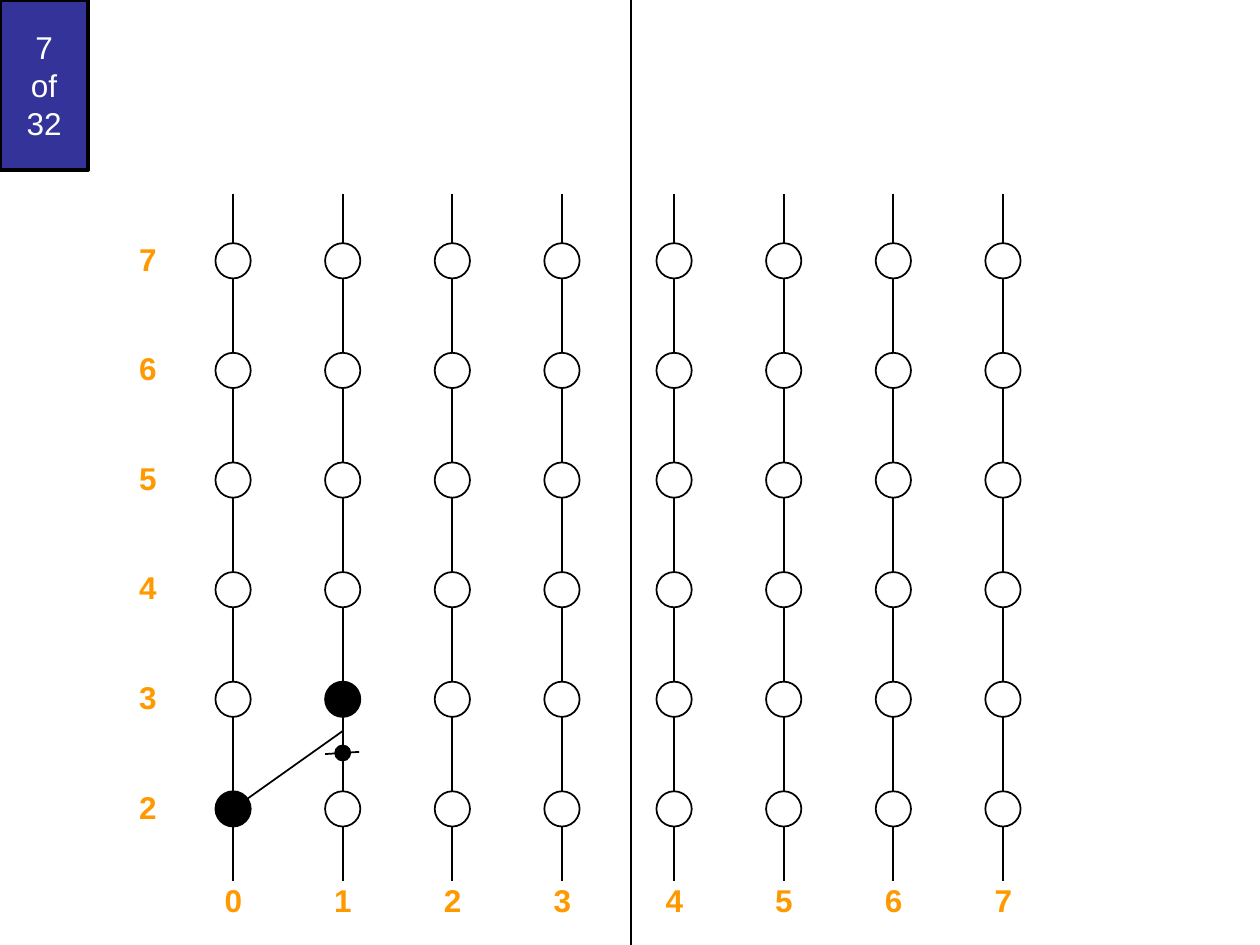
import pptx
import pptx.util
import pptx.dml.color
import pptx.enum.shapes
import pptx.enum.text
import pptx.oxml.ns
import lxml.etree

Inches = pptx.util.Inches
Pt = pptx.util.Pt
RGBColor = pptx.dml.color.RGBColor
SHAPE = pptx.enum.shapes.MSO_SHAPE
ALIGN = pptx.enum.text.PP_ALIGN
ANCHOR = pptx.enum.text.MSO_ANCHOR

BLACK = RGBColor(0x00, 0x00, 0x00)
WHITE = RGBColor(0xFF, 0xFF, 0xFF)
NAVY = RGBColor(0x33, 0x33, 0x99)
ORANGE = RGBColor(0xFF, 0x99, 0x00)

WIDTH, HEIGHT = 10, 7.5
COLUMNS, ROWS = range(8), range(2, 8)
SELECTED = {(0, 2), (1, 3)}


def write(tf, text, color=BLACK, size=18, bold=False, align=ALIGN.CENTER,
          anchor=ANCHOR.TOP, font="Arial"):
    """Put text in one paragraph, with a line break at each newline."""
    tf.word_wrap = True
    tf.vertical_anchor = anchor
    p = tf.paragraphs[0]
    p.alignment = align
    for i, line in enumerate(text.split("\n")):
        if i:
            p.add_line_break()
        r = p.add_run()
        r.text = line
        r.font.name = font
        r.font.size = Pt(size)
        r.font.bold = bold
        r.font.color.rgb = color


class GridSlide:
    """Places elements by the columns and rows of a pixel grid, in inches."""
    step = 0.87
    left, bottom = 1.85, 6.42
    middle_gap = 0.02
    label_width, label_height = 0.34, 0.4

    def __init__(self, prs):
        self.s = prs.slides.add_slide(prs.slide_layouts[6])

    def x(self, col):
        return self.left + col * self.step + (self.middle_gap if col >= 4 else 0)

    def y(self, row):
        return self.bottom - (row - ROWS[0]) * self.step

    def shape(self, kind, x, y, w, h, fill, weight=1, parent=None):
        sp = (parent or self.s).shapes.add_shape(
            kind, Inches(x), Inches(y), Inches(w), Inches(h))
        sp.shadow.inherit = False
        sp.fill.solid()
        sp.fill.fore_color.rgb = fill
        sp.line.color.rgb = BLACK
        sp.line.width = Pt(weight)
        return sp

    def badge(self, text, width, height):
        """Corner box; width and height are shares of the slide."""
        sp = self.shape(SHAPE.RECTANGLE, 0, 0, width * WIDTH, height * HEIGHT,
                        NAVY, weight=2)
        write(sp.text_frame, text, color=WHITE, anchor=ANCHOR.MIDDLE)

    def dot(self, col, row, fill=WHITE, size=0.28, parent=None):
        self.shape(SHAPE.OVAL, self.x(col) - size / 2, self.y(row) - size / 2,
                   size, size, fill, parent=parent)

    def line(self, x1, y1, x2, y2, parent=None):
        c = (parent or self.s).shapes.add_connector(
            pptx.enum.shapes.MSO_CONNECTOR.STRAIGHT,
            Inches(x1), Inches(y1), Inches(x2), Inches(y2))
        c.line.color.rgb = BLACK
        c.line.width = Pt(1)
        lxml.etree.SubElement(c._element.spPr, pptx.oxml.ns.qn("a:effectLst"))

    def grid_line(self, start, end, parent=None):
        """Line between two (column, row) points."""
        self.line(self.x(start[0]), self.y(start[1]),
                  self.x(end[0]), self.y(end[1]), parent)

    def label(self, col, row, text):
        tb = self.s.shapes.add_textbox(
            Inches(self.x(col) - self.label_width / 2),
            Inches(self.y(row) - self.label_height / 2),
            Inches(self.label_width), Inches(self.label_height))
        write(tb.text_frame, text, color=ORANGE, bold=True, align=ALIGN.RIGHT)


def main():
    prs = pptx.Presentation()
    prs.slide_width, prs.slide_height = Inches(WIDTH), Inches(HEIGHT)
    grid = GridSlide(prs)

    grid.badge("7\nof\n32", width=0.07, height=0.18)
    grid.line(0.5 * WIDTH + 0.01, 0, 0.5 * WIDTH + 0.01, HEIGHT)
    for col in COLUMNS:
        grid.grid_line((col, 7.61), (col, 1.34))
    for row in ROWS:
        for col in COLUMNS:
            grid.dot(col, row, BLACK if (col, row) in SELECTED else WHITE)

    for row in ROWS:
        grid.label(-0.78, row + 0.02, str(row))
    for col in COLUMNS:
        grid.label(col, 1.17, str(col))

    grid.grid_line((0, 2), (1, 2.71))
    midpoint = grid.s.shapes.add_group_shape()
    grid.grid_line((0.84, 2.5), (1.15, 2.52), parent=midpoint)
    grid.dot(1, 2.51, BLACK, size=0.12, parent=midpoint)

    prs.save("out.pptx")


if __name__ == "__main__":
    main()
